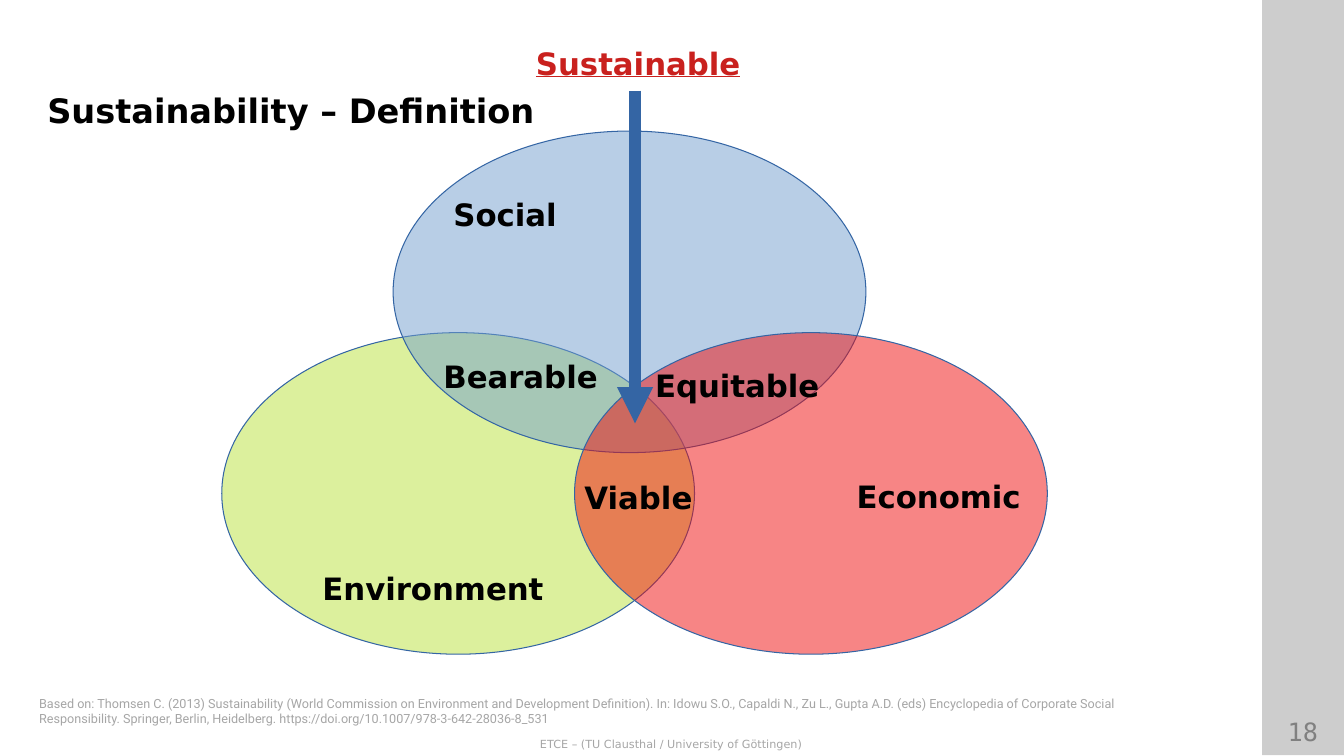
import pptx
import pptx.util
import pptx.dml.color
import pptx.enum.shapes
import pptx.enum.text
import pptx.oxml

Pt = pptx.util.Pt
SHAPE = pptx.enum.shapes.MSO_SHAPE
ALIGN = pptx.enum.text.PP_ALIGN
SANS = "DejaVu Sans"
BLUE = "3465A4"


def color(code):
    return pptx.dml.color.RGBColor.from_string(code)


def add_xml(parent, tag, attrs=""):
    ns = 'xmlns:a="http://schemas.openxmlformats.org/drawingml/2006/main"'
    parent.append(pptx.oxml.parse_xml(f"<a:{tag} {ns} {attrs}/>"))


def set_text(box, text, size, code, font=SANS, bold=False, align=ALIGN.LEFT):
    frame = box.text_frame
    frame.word_wrap = True
    frame.auto_size = pptx.enum.text.MSO_AUTO_SIZE.NONE
    frame.vertical_anchor = pptx.enum.text.MSO_ANCHOR.TOP
    frame.margin_left = frame.margin_right = Pt(7.2)
    frame.margin_top = frame.margin_bottom = Pt(3.6)
    frame.text = text
    para = frame.paragraphs[0]
    para.alignment = align
    para.font.size = Pt(size)
    para.font.name = font
    para.font.bold = bold
    para.font.color.rgb = color(code)
    return para


def add_text(slide, left, top, width, height, *args, **style):
    box = slide.shapes.add_textbox(Pt(left), Pt(top), Pt(width), Pt(height))
    return set_text(box, *args, **style)


def add_label(slide, text, left, top, width=179.3, code="000000"):
    return add_text(slide, left, top, width, 57.6, text, 22, code, bold=True)


def add_tint(slide, kind, left, top, width, height, code, alpha, line=None):
    shape = slide.shapes.add_shape(kind, Pt(left), Pt(top), Pt(width), Pt(height))
    shape.shadow.inherit = False
    shape.fill.solid()
    shape.fill.fore_color.rgb = color(code)
    fill = shape.fill.fore_color._xFill
    add_xml(fill[0], "alpha", f'val="{alpha * 1000}"')
    if line:
        shape.line.color.rgb = color(line)
        shape.line.width = Pt(0)
    else:
        shape.line.fill.background()


def add_arrow(slide, x, top, bottom):
    arrow = slide.shapes.add_connector(
        pptx.enum.shapes.MSO_CONNECTOR.STRAIGHT, Pt(x), Pt(top), Pt(x), Pt(bottom))
    arrow.line.color.rgb = color(BLUE)
    arrow.line.width = Pt(8.65)
    add_xml(arrow.line._get_or_add_ln(), "tailEnd", 'type="triangle"')
    add_xml(arrow._element.spPr, "effectLst")


def main():
    deck = pptx.Presentation()
    deck.slide_width, deck.slide_height = Pt(960), Pt(540)
    slide = deck.slides.add_slide(deck.slide_layouts[5])

    # Side bar, two layers of faint black
    for layer in range(2):
        add_tint(slide, SHAPE.RECTANGLE, 901.6, 0, 58.4, 539.5, "000000", 10)

    # Page number and footer
    add_text(slide, 900.8, 508.3, 59.6, 31.7, "18", 18, "808080",
             font="DejaVu Sans Mono", align=ALIGN.CENTER)
    add_text(slide, 0, 522.8, 959, 16.6,
             "ETCE – (TU Clausthal / University of Göttingen)", 8, "A6A6A6",
             align=ALIGN.CENTER)

    # Title
    title = slide.shapes.title
    title.left, title.top = Pt(26.6), Pt(60.5)
    title.width, title.height = Pt(846), Pt(38.9)
    set_text(title, "Sustainability – Definition", 24, "000000", bold=True)

    # Citation
    add_text(slide, 20.9, 493.2, 824.4, 28.8,
             "Based on: Thomsen C. (2013) Sustainability (World Commission on "
             "Environment and Development Definition). In: Idowu S.O., Capaldi N., "
             "Zu L., Gupta A.D. (eds) Encyclopedia of Corporate Social "
             "Responsibility. Springer, Berlin, Heidelberg. "
             "https://doi.org/10.1007/978-3-642-28036-8_531",
             9, "A6A6A6", font="Roboto")

    # Three overlapping ellipses
    for left, top, code in ((158.4, 237.6, "BBE33D"),
                            (280.8, 93.6, "729FCF"),
                            (410.4, 237.6, "F10D0C")):
        add_tint(slide, SHAPE.OVAL, left, top, 337.7, 229.7, code, 50, BLUE)

    # Labels of the ellipses and their overlaps
    add_label(slide, "Social", 316.8, 136.1, 92.9)
    head = add_label(slide, "Sustainable", 375.8, 28.1, 170.6, "C9211E")
    head.font.underline = True
    for text, left, top in (("Economic", 604.8, 337.7),
                            ("Environment", 223.2, 403.2),
                            ("Viable", 410.4, 338.4),
                            ("Bearable", 309.6, 252),
                            ("Equitable", 460.8, 258.5)):
        add_label(slide, text, left, top)

    # Arrow to the common core
    add_arrow(slide, 453.6, 64.8, 302.4)

    deck.save("out.pptx")


if __name__ == "__main__":
    main()
